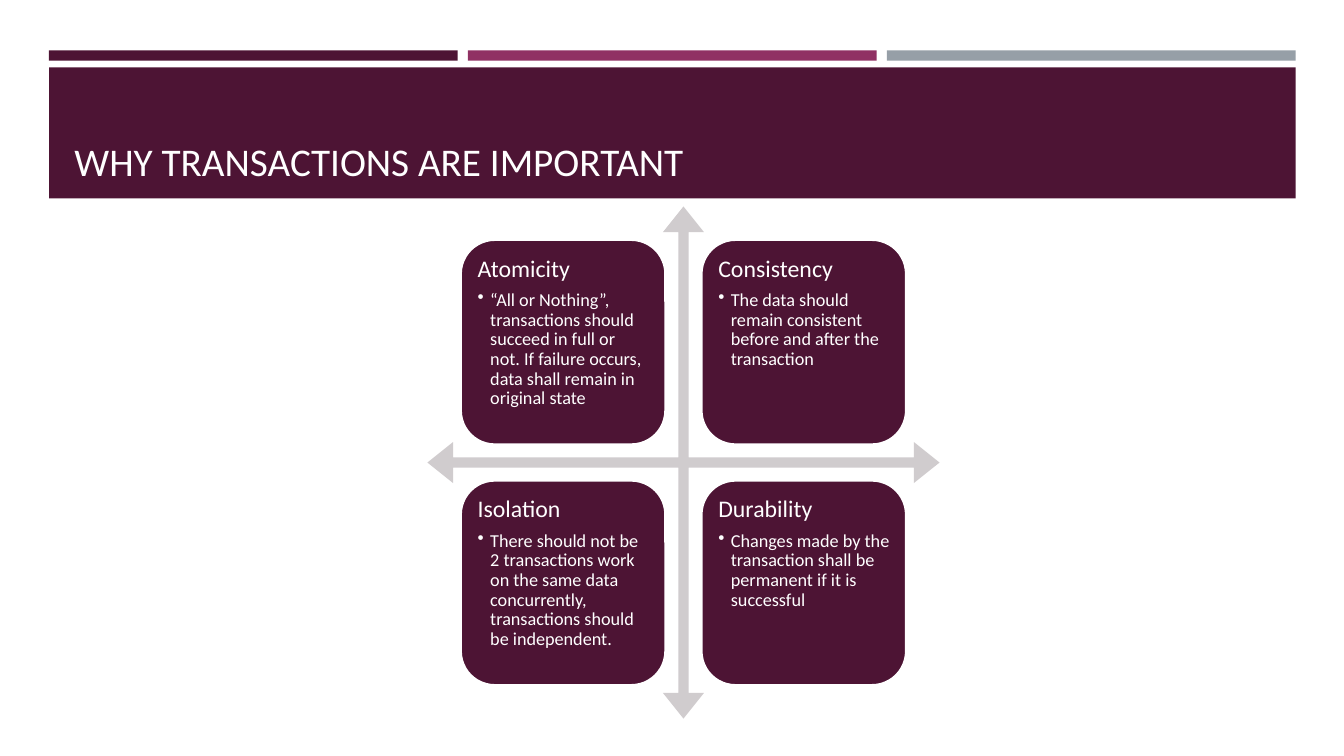
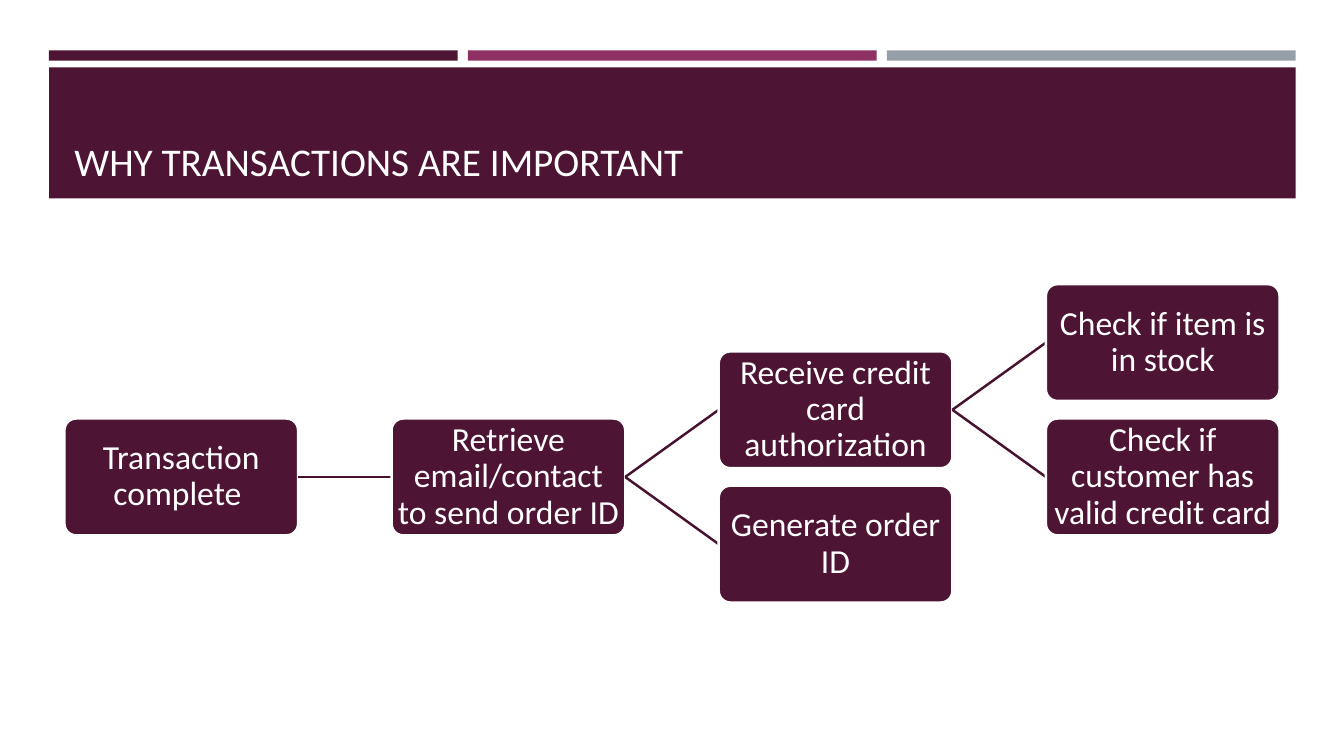
from dataclasses import dataclass

from lxml import etree
from pptx import Presentation
from pptx.dml.color import RGBColor as RGB
from pptx.enum.shapes import MSO_CONNECTOR as CONN, MSO_SHAPE as SHAPE
from pptx.enum.text import MSO_ANCHOR as ANCHOR, MSO_AUTO_SIZE as FIT, PP_ALIGN as ALIGN
from pptx.oxml.ns import qn
from pptx.util import Pt


@dataclass(frozen=True)
class Theme:
    font: str = "Calibri"
    plum: RGB = RGB(0x4D, 0x14, 0x34)
    magenta: RGB = RGB(0x90, 0x31, 0x63)
    slate: RGB = RGB(0x96, 0x9F, 0xA7)
    arrow: RGB = RGB(0xD0, 0xCC, 0xCE)
    link: RGB = RGB(0x46, 0x12, 0x2F)
    white: RGB = RGB(0xFF, 0xFF, 0xFF)
    title: int = 28
    node: int = 24
    heading: int = 17
    detail: int = 13
    outline: float = 1.75


T = Theme()
TITLE = "WHY TRANSACTIONS ARE IMPORTANT"

# Boxes are left, top, width, height in points
HEADER_BOX = (35, 36, 890.5, 105.8)
MATRIX_BOX = (305.3, 147.5, 365.8, 365.8)
TREE_BOX = (46, 203, 868, 228)

PROPERTIES = [
    ("Atomicity", "“All or Nothing”, transactions should succeed in full or not. "
                  "If failure occurs, data shall remain in original state"),
    ("Consistency", "The data should remain consistent before and after the transaction"),
    ("Isolation", "There should not be 2 transactions work on the same data concurrently, "
                  "transactions should be independent."),
    ("Durability", "Changes made by the transaction shall be permanent if it is successful"),
]

# Text, column, row in half steps, index of the parent
STEPS = [
    ("Transaction complete ", 0, 2, None),
    ("Retrieve email/contact to send order ID", 1, 2, 0),
    ("Receive credit card authorization", 2, 1, 1),
    ("Check if item is in stock", 3, 0, 2),
    ("Check if customer has valid credit card", 3, 2, 2),
    ("Generate order ID", 2, 3, 1),
]


def add_shape(slide, kind, box, fill, outlined=False):
    sp = slide.shapes.add_shape(kind, *map(Pt, box))
    sp.shadow.inherit = False
    sp.fill.solid()
    sp.fill.fore_color.rgb = fill
    if outlined:
        sp.line.color.rgb = T.white
        sp.line.width = Pt(T.outline)
    else:
        sp.line.fill.background()
    return sp


def set_frame(tf, inset, anchor):
    tf.word_wrap = True
    tf.auto_size = FIT.NONE
    tf.vertical_anchor = anchor
    tf.margin_left = tf.margin_top = tf.margin_right = tf.margin_bottom = Pt(inset)


def add_text(p, text, size, align=ALIGN.LEFT, spacing=0.9):
    p.alignment = align
    p.line_spacing = spacing
    r = p.add_run()
    r.text = text
    r.font.name = T.font
    r.font.size = Pt(size)
    r.font.color.rgb = T.white


def add_bullet(p, indent=9):
    p.level = 1
    ppr = p._p.get_or_add_pPr()
    ppr.set("marL", str(Pt(indent)))
    ppr.set("indent", str(-Pt(indent)))
    etree.SubElement(ppr, qn("a:buChar")).set("char", "•")


def build_header(layout, slide, box):
    """Put the strips, the band and the title position on the layout."""
    left, top, width, height = box
    for ph in list(layout.placeholders):
        if ph.placeholder_format.idx:
            ph.element.getparent().remove(ph.element)

    # Three strips above the title band
    gap, strip_h, band_top = 7.3, 7.4, 12.2
    strip_w = (width - 2 * gap) / 3
    parts = [
        add_shape(slide, SHAPE.RECTANGLE,
                  (left + i * (strip_w + gap), top, strip_w, strip_h), color)
        for i, color in enumerate((T.plum, T.magenta, T.slate))
    ]
    parts.append(add_shape(slide, SHAPE.RECTANGLE,
                           (left, top + band_top, width, height - band_top), T.plum))

    # Title inside the band, with the shared parts behind it
    title = layout.placeholders[0]
    title.left, title.top = Pt(left + 11), Pt(top + 19.4)
    title.width, title.height = Pt(width - 22), Pt(80)
    for sp in parts:
        title.element.addprevious(sp.element)


def add_title(slide, text):
    tf = slide.shapes.title.text_frame
    set_frame(tf, 7.2, ANCHOR.BOTTOM)
    tf.margin_top = tf.margin_bottom = Pt(3.6)
    add_text(tf.paragraphs[0], text, T.title, spacing=1.0)


def add_matrix(slide, box, items):
    """Four cards around a four-way arrow."""
    left, top, side, _ = box
    card, margin, pitch = 0.4 * side, 0.065 * side, 0.47 * side
    sp = add_shape(slide, SHAPE.QUAD_ARROW, box, T.arrow)
    for i, value in enumerate((0.02, 0.04, 0.05)):
        sp.adjustments[i] = value

    for i, (heading, detail) in enumerate(items):
        row, col = divmod(i, 2)
        sp = add_shape(slide, SHAPE.ROUNDED_RECTANGLE,
                       (left + margin + col * pitch, top + margin + row * pitch, card, card),
                       T.plum, outlined=True)
        tf = sp.text_frame
        set_frame(tf, 5, ANCHOR.TOP)
        p = tf.paragraphs[0]
        add_text(p, heading, T.heading)
        p.space_after = Pt(6)
        p = tf.add_paragraph()
        add_text(p, detail, T.detail)
        add_bullet(p)


def link_nodes(slide, parent, child):
    c = slide.shapes.add_connector(CONN.STRAIGHT, 0, 0, 0, 0)
    c.begin_connect(parent, 3)
    c.end_connect(child, 1)
    c.line.color.rgb = T.link
    c.line.width = Pt(T.outline)
    etree.SubElement(c.element.spPr, qn("a:effectLst"))
    child.element.addprevious(c.element)


def add_tree(slide, box, steps):
    """Left-to-right tree: four columns, gaps of 0.4 node widths."""
    left, top, width, _ = box
    node_w = width / 5.2
    node_h = node_w / 2
    pitch, half_step = 1.4 * node_w, 0.575 * node_h
    nodes = []
    for text, col, row, parent in steps:
        sp = add_shape(slide, SHAPE.ROUNDED_RECTANGLE,
                       (left + col * pitch, top + row * half_step, node_w, node_h),
                       T.plum, outlined=True)
        sp.adjustments[0] = 0.1
        set_frame(sp.text_frame, 1.2, ANCHOR.MIDDLE)
        add_text(sp.text_frame.paragraphs[0], text, T.node, ALIGN.CENTER)
        nodes.append(sp)
        if parent is not None:
            link_nodes(slide, nodes[parent], sp)


def main():
    prs = Presentation()
    prs.slide_width, prs.slide_height = Pt(960), Pt(540)
    layout = prs.slide_layouts[5]
    matrix_slide, tree_slide = (prs.slides.add_slide(layout) for _ in range(2))
    build_header(layout, matrix_slide, HEADER_BOX)
    for slide in (matrix_slide, tree_slide):
        add_title(slide, TITLE)
    add_matrix(matrix_slide, MATRIX_BOX, PROPERTIES)
    add_tree(tree_slide, TREE_BOX, STEPS)
    prs.save("out.pptx")


if __name__ == "__main__":
    main()
